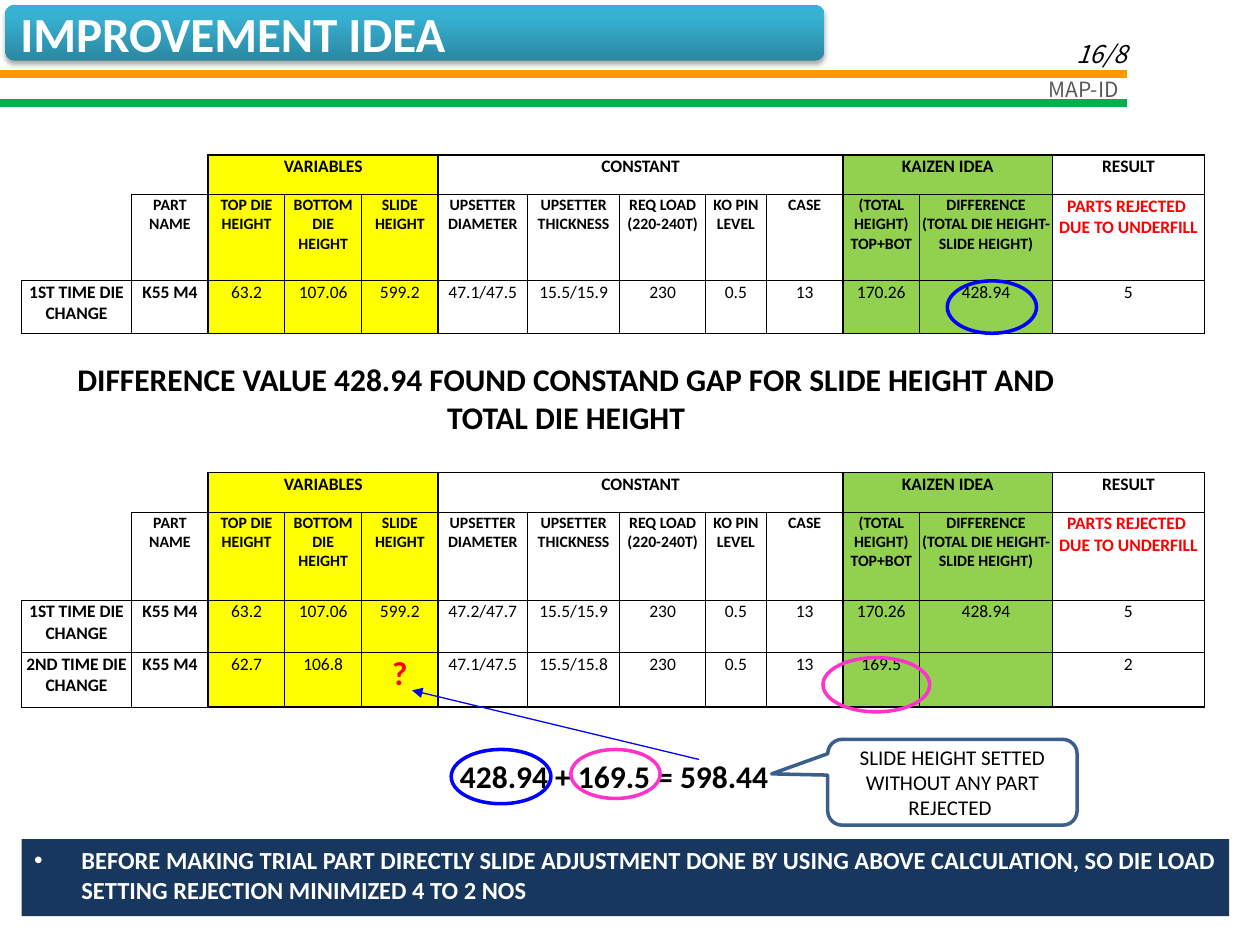
from copy import deepcopy

from lxml import etree
from pptx import Presentation
from pptx.dml.color import RGBColor
from pptx.enum import shapes, text
from pptx.oxml import ns, parse_xml
from pptx.util import Pt

SHAPE = shapes.MSO_SHAPE
ALIGN = text.PP_ALIGN
ANCHOR = text.MSO_ANCHOR
YELLOW, GREEN, BLUE, PINK, RED = "FFFF00", "92D050", "0000FF", "FF33CC", "FF0000"

COLUMN_WIDTHS = [63, 43.8, 43.8, 43.8, 43.8, 51, 52.8, 49, 34.8, 43.8, 43.8, 75.8, 87]
GROUPS = [("VARIABLES", 2, 4), ("CONSTANT", 5, 9), ("KAIZEN IDEA", 10, 11), ("RESULT", 12, 12)]
GROUP_EDGES = {2, 5, 10, 12, 13}
HEADINGS = ["", "PART NAME", "TOP DIE HEIGHT", "BOTTOM DIE HEIGHT", "SLIDE HEIGHT",
            "UPSETTER DIAMETER", "UPSETTER THICKNESS", "REQ LOAD\n(220-240T)", "KO PIN LEVEL",
            "CASE", "(TOTAL HEIGHT)\nTOP+BOT", "DIFFERENCE\n(TOTAL DIE HEIGHT-SLIDE HEIGHT)",
            "PARTS REJECTED \nDUE TO UNDERFILL"]


def color(value):
    return RGBColor.from_string(value)


def drawing(xml):
    return parse_xml(xml.replace(" ", f' {ns.nsdecls("a")} ', 1))


def write(frame, content, size=10, fill="000000", bold=False, italic=False, font="Calibri",
          align=ALIGN.CENTER, anchor=ANCHOR.TOP):
    frame.word_wrap = True
    frame.vertical_anchor = anchor
    paragraph = frame.paragraphs[0]
    paragraph.text = content
    paragraph.alignment = align
    for run in paragraph.runs:
        run.font.name, run.font.size = font, Pt(size)
        run.font.bold, run.font.italic = bold, italic
        run.font.color.rgb = color(fill)
    # Line breaks take the same format as the runs
    for line_break in paragraph._p.findall(ns.qn("a:br")):
        line_break.append(deepcopy(paragraph.runs[0]._r.rPr))
    return paragraph


def add_text(slide, box, content, **style):
    shape = slide.shapes.add_textbox(*map(Pt, box))
    write(shape.text_frame, content, **style)


def add_shape(slide, kind, box, fill=None, line=None):
    shape = slide.shapes.add_shape(kind, *map(Pt, box))
    shape.shadow.inherit = False
    if fill:
        shape.fill.solid()
        shape.fill.fore_color.rgb = color(fill)
    else:
        shape.fill.background()
    if line:
        shape.line.color.rgb = color(line)
        shape.line.width = Pt(2)
    else:
        shape.line.fill.background()
    return shape


def add_line(slide, start, end, stroke, width, arrow=False):
    connector = slide.shapes.add_connector(shapes.MSO_CONNECTOR.STRAIGHT, *map(Pt, start + end))
    connector.line.color.rgb = color(stroke)
    connector.line.width = Pt(width)
    if arrow:
        tail = etree.SubElement(connector.line._get_or_add_ln(), ns.qn("a:tailEnd"))
        tail.set("type", "triangle")
    etree.SubElement(connector._element.spPr, ns.qn("a:effectLst"))


def add_header(slide, box):
    left, top, width, height = box
    # Page mark and coloured rules
    add_text(slide, (left + 501, top + 6.5, 150, 36), "16/8", size=14, italic=True,
             font="Noto Sans CJK JP", align=ALIGN.RIGHT, anchor=ANCHOR.BOTTOM)
    for y, stroke in ((42.2, "FF9900"), (59, "00B050")):
        add_line(slide, (left, top + y), (left + width, top + y), stroke, 4.5)
    add_text(slide, (left + 538.5, top + 40.3, 108, 21.6), "MAP-ID", size=12, fill="595959",
             font="Noto Sans CJK JP", align=ALIGN.RIGHT)

    # Banner
    banner = add_shape(slide, SHAPE.ROUNDED_RECTANGLE, (left + 3, top + 3, 468, 31.7), "2A88A2")
    properties = banner._element.spPr
    stops = "".join(f'<a:gs pos="{position}000"><a:srgbClr val="{value}"/></a:gs>'
                    for position, value in ((0, "2A88A2"), (80, "37B1D2"), (100, "34B4D6")))
    properties.replace(properties.find(ns.qn("a:solidFill")), drawing(
        f'<a:gradFill rotWithShape="1"><a:gsLst>{stops}</a:gsLst>'
        '<a:lin ang="16200000" scaled="0"/></a:gradFill>'))
    properties.find(ns.qn("a:effectLst")).append(drawing(
        '<a:outerShdw blurRad="40000" dist="23000" dir="5400000" rotWithShape="0">'
        '<a:srgbClr val="000000"><a:alpha val="35000"/></a:srgbClr></a:outerShdw>'))
    write(banner.text_frame, "IMPROVEMENT IDEA", size=28, fill="FFFFFF", bold=True,
          align=ALIGN.LEFT, anchor=ANCHOR.MIDDLE)


def vertical_width(row, edge):
    if edge in GROUP_EDGES:
        return 1
    return 0 if row == 0 or (row == 1 and edge == 0) else 0.5


def horizontal_width(edge, column, last):
    if edge == 0:
        return 1 if column >= 2 else 0
    if edge == 1:
        return 0.5 if column else 0
    return 1 if edge == last == 4 and column >= 2 else 0.5


def set_borders(cell, row, column, last):
    widths = {"L": vertical_width(row, column), "R": vertical_width(row, column + 1),
              "T": horizontal_width(row, column, last),
              "B": horizontal_width(row + 1, column, last)}
    for index, (side, width) in enumerate(widths.items()):
        paint = '<a:solidFill><a:srgbClr val="000000"/></a:solidFill>' if width else "<a:noFill/>"
        cell._tc.get_or_add_tcPr().insert(
            index, drawing(f'<a:ln{side} w="{Pt(width)}">{paint}</a:ln{side}>'))


def cell_style(row, column, value):
    style = {"size": 9 if row == 1 and column < 12 else 10, "bold": row < 2 or column < 2,
             "anchor": ANCHOR.MIDDLE}
    if row and column == 12:
        style["anchor"] = ANCHOR.BOTTOM
    if row == 1 and column == 10:
        style["anchor"] = ANCHOR.TOP
    if row == 1 and column == 12:
        style["fill"] = RED
    if value == "?":
        style.update(size=19, fill=RED, bold=True)
    return style


def add_die_table(slide, left, top, row_heights, records):
    last = len(row_heights)
    groups = [""] * len(COLUMN_WIDTHS)
    for name, first, _ in GROUPS:
        groups[first] = name
    frame = slide.shapes.add_table(last, len(COLUMN_WIDTHS), Pt(left), Pt(top),
                                   Pt(sum(COLUMN_WIDTHS)), Pt(sum(row_heights)))
    table = frame.table
    table.first_row = table.horz_banding = False
    for column, width in zip(table.columns, COLUMN_WIDTHS):
        column.width = Pt(width)
    for row, height in zip(table.rows, row_heights):
        row.height = Pt(height)

    for r, values in enumerate([groups, HEADINGS] + records):
        for c, value in enumerate(values):
            cell = table.cell(r, c)
            cell.margin_left = cell.margin_right = cell.margin_top = Pt(0.7)
            cell.margin_bottom = 0
            fill = YELLOW if 2 <= c <= 4 else GREEN if 10 <= c <= 11 else None
            if fill:
                cell.fill.solid()
                cell.fill.fore_color.rgb = color(fill)
            else:
                cell.fill.background()
            set_borders(cell, r, c, last)
            if value:
                write(cell.text_frame, value, **cell_style(r, c, value))
    for _, first, final in GROUPS:
        if final > first:
            table.cell(0, first).merge(table.cell(0, final))


def add_title(slide, box):
    title = slide.shapes.title
    title.left, title.top, title.width, title.height = map(Pt, box)
    write(title.text_frame, "DIFFERENCE VALUE 428.94 FOUND CONSTAND GAP FOR SLIDE HEIGHT AND "
          "TOTAL DIE HEIGHT", size=18, bold=True)
    title.text_frame.auto_size = text.MSO_AUTO_SIZE.NONE


def add_calculation(slide, box):
    left, top, _, _ = box
    add_text(slide, box, "428.94 + 169.5 = 598.44", size=18, bold=True)
    add_line(slide, (left + 352, top + 5), (left + 188, top - 34.5), BLUE, 0.75, arrow=True)
    # Rings around the two terms
    add_shape(slide, SHAPE.OVAL, (left + 210.3, top - 0.7, 57, 31), line=BLUE)
    add_shape(slide, SHAPE.OVAL, (left + 278.7, top - 0.7, 51, 28), line=PINK)
    # Callout on the result
    callout = add_shape(slide, SHAPE.ROUNDED_RECTANGULAR_CALLOUT,
                        (left + 425.5, top - 6.5, 142.5, 49), line="3A5F8C")
    for index, value in enumerate((-0.725, -0.098, 0.167)):
        callout.adjustments[index] = value
    write(callout.text_frame, "SLIDE HEIGHT SETTED WITHOUT ANY PART REJECTED ", size=12,
          anchor=ANCHOR.MIDDLE)


def add_conclusion(slide, box):
    panel = add_shape(slide, SHAPE.RECTANGLE, box, "17375E")
    paragraph = write(panel.text_frame, "BEFORE MAKING TRIAL PART DIRECTLY SLIDE ADJUSTMENT DONE "
                      "BY USING ABOVE CALCULATION, SO DIE LOAD SETTING REJECTION MINIMIZED "
                      "4 TO 2 NOS", size=14, fill="FFFFFF", bold=True, align=ALIGN.LEFT)
    properties = paragraph._p.get_or_add_pPr()
    properties.set("marL", str(Pt(27)))
    properties.set("indent", str(Pt(-27)))
    properties.append(drawing('<a:buFont typeface="Arial"/>'))
    properties.append(drawing('<a:buChar char="•"/>'))


def main():
    presentation = Presentation()
    presentation.slide_width, presentation.slide_height = Pt(720), Pt(540)
    slide = presentation.slides.add_slide(presentation.slide_layouts[5])

    first_change = ["1ST TIME DIE CHANGE", "K55 M4", "63.2", "107.06", "599.2", "47.1/47.5",
                    "15.5/15.9", "230", "0.5", "13", "170.26", "428.94", "5"]
    revised_change = first_change[:5] + ["47.2/47.7"] + first_change[6:]
    second_change = ["2ND TIME DIE CHANGE", "K55 M4", "62.7", "106.8", "?", "47.1/47.5",
                     "15.5/15.8", "230", "0.5", "13", "169.5", "", "2"]

    add_header(slide, (0, 0, 644, 62))
    add_conclusion(slide, (12.4, 479.5, 690, 44))
    add_die_table(slide, 12.2, 270, [22.6, 50.4, 30, 31], [revised_change, second_change])
    add_die_table(slide, 12.2, 88.6, [22.6, 49.2, 30], [first_change])
    add_title(slide, (20, 202.3, 607, 42.5))
    add_calculation(slide, (47.5, 429, 607, 42.5))
    # Rings around table values
    add_shape(slide, SHAPE.OVAL, (541.3, 160.5, 51, 30), line=BLUE)
    add_shape(slide, SHAPE.OVAL, (470.3, 375.8, 61, 31), line=PINK)
    presentation.save("out.pptx")


if __name__ == "__main__":
    main()
